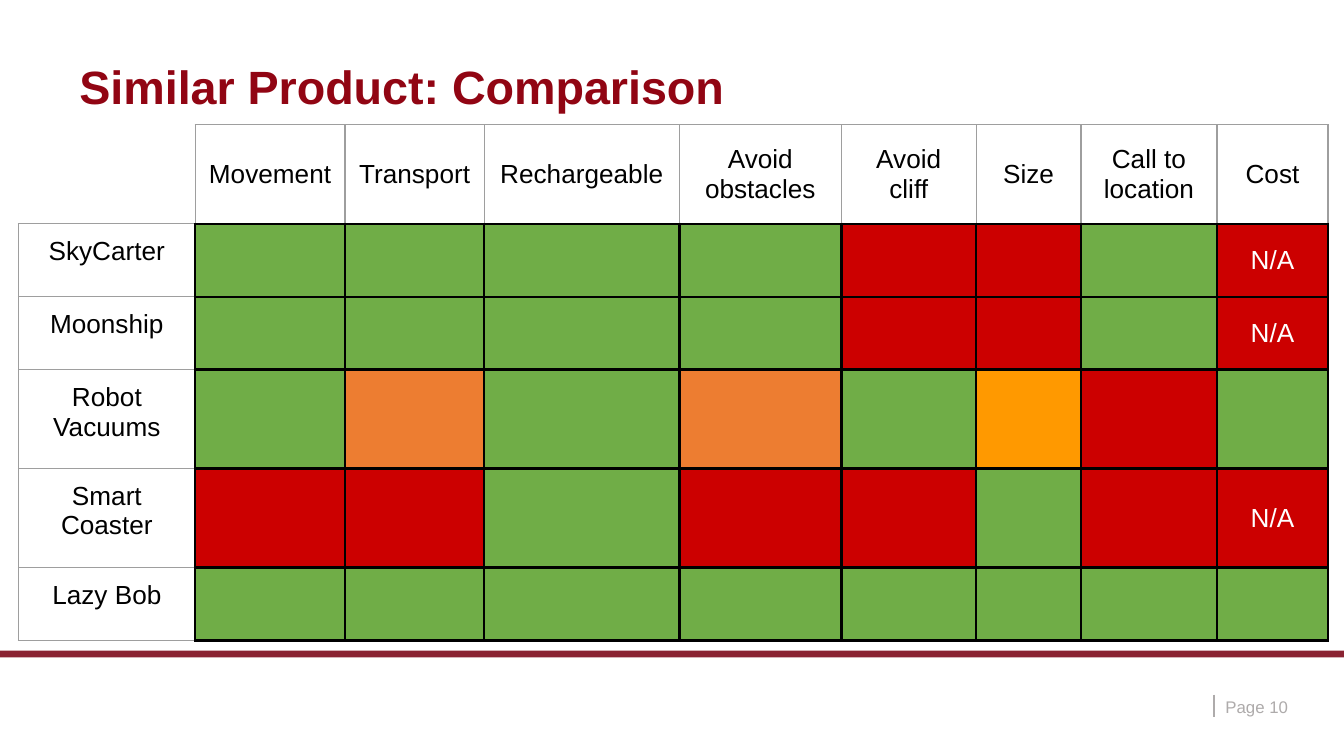
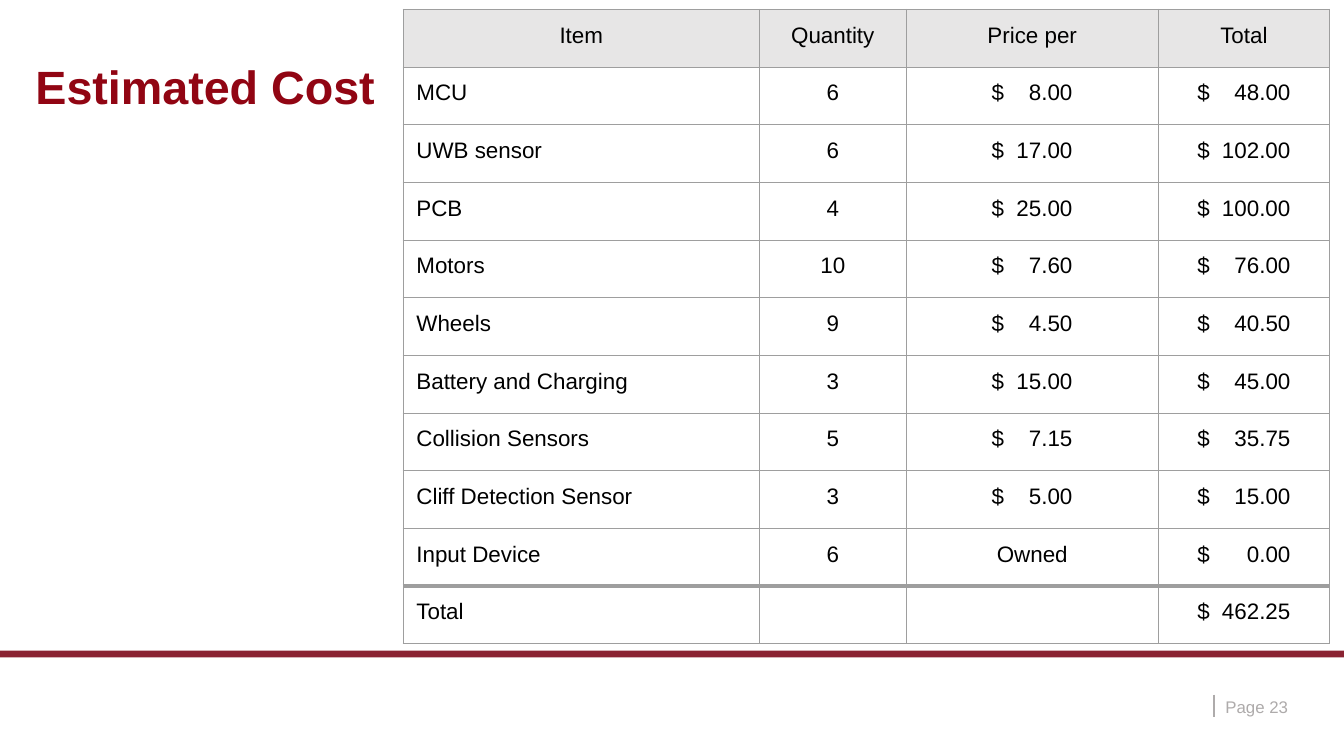
from lxml.etree import SubElement
from pptx import Presentation
from pptx.dml.color import RGBColor
from pptx.enum.shapes import MSO_CONNECTOR, MSO_SHAPE
from pptx.enum.text import MSO_ANCHOR, MSO_AUTO_SIZE, PP_ALIGN
from pptx.oxml.ns import qn
from pptx.util import Cm, Pt

FONT = "Arial"
MAROON, BAND = "910513", "8A2332"
BLACK, WHITE = "000000", "FFFFFF"
GREY, BORDER, HEADER = "AEABAB", "9E9E9E", "E7E6E6"
RATINGS = {"g": "70AD47", "r": "CC0000", "o": "ED7D31", "y": "FF9900"}
THIN, MEDIUM, THICK = (BORDER, 0.75), (BLACK, 1.5), (BORDER, 2.25)
PAD = 0.25

FEATURES = ["Movement", "Transport", "Rechargeable", "Avoid obstacles",
            "Avoid cliff", "Size", "Call to location", "Cost"]
PRODUCTS = [
    ("SkyCarter", "ggggrrgr", "N/A"),
    ("Moonship", "ggggrrgr", "N/A"),
    ("Robot Vacuums", "gogogyrg", ""),
    ("Smart Coaster", "rrgrrgrr", "N/A"),
    ("Lazy Bob", "gggggggg", ""),
]
COST_HEADS = ["Item", "Quantity", "Price per", "Total"]
PARTS = [
    ("MCU", 6, 8), ("UWB sensor", 6, 17), ("PCB", 4, 25),
    ("Motors", 10, 7.6), ("Wheels", 9, 4.5),
    ("Battery and Charging", 3, 15), ("Collision Sensors", 5, 7.15),
    ("Cliff Detection Sensor", 3, 5), ("Input Device", 6, None),
]
PRICE_STOPS, TOTAL_STOPS = (1.61, 1.53), (0.74, 1.76)


def rgb(value):
    return RGBColor.from_string(value)


def style(p, size, color, bold=False, align=PP_ALIGN.LEFT):
    p.alignment = align
    p.font.name = FONT
    p.font.size = Pt(size)
    p.font.bold = bold
    p.font.color.rgb = rgb(color)


def set_insets(box, x, y):
    box.margin_left = box.margin_right = Cm(x)
    box.margin_top = box.margin_bottom = Cm(y)


def set_borders(cell, left, right, top, bottom):
    tc_pr = cell._tc.get_or_add_tcPr()
    for side, (color, width) in zip("LRTB", (left, right, top, bottom)):
        ln = SubElement(tc_pr, qn(f"a:ln{side}"), w=str(Pt(width)))
        SubElement(SubElement(ln, qn("a:solidFill")), qn("a:srgbClr"), val=color)


def set_fill(cell, color=None):
    if color:
        cell.fill.solid()
        cell.fill.fore_color.rgb = rgb(color)
    else:
        cell.fill.background()


def write(cell, text, size, color=BLACK, align=PP_ALIGN.CENTER, anchor=MSO_ANCHOR.TOP):
    if not text:
        return
    cell.text = text
    set_insets(cell, PAD, PAD)
    cell.vertical_anchor = anchor
    style(cell.text_frame.paragraphs[0], size, color, align=align)


def write_money(cell, amount, size, stops):
    indent, tab = stops
    cell.text = f"$\t{amount:.2f}"
    set_insets(cell, PAD, PAD)
    cell.margin_left = Cm(indent)
    p = cell.text_frame.paragraphs[0]
    tabs = SubElement(p._p.get_or_add_pPr(), qn("a:tabLst"))
    SubElement(tabs, qn("a:tab"), pos=str(Cm(tab)), algn="r")
    style(p, size, BLACK)


def add_grid(slide, left, top, widths, heights):
    frame = slide.shapes.add_table(
        len(heights), len(widths), Cm(left), Cm(top), Cm(sum(widths)), Cm(sum(heights)))
    table = frame.table
    table.first_row = table.horz_banding = False
    for column, width in zip(table.columns, widths):
        column.width = Cm(width)
    for row, height in zip(table.rows, heights):
        row.height = Cm(height)
    return table


def add_layout_art(slide, layout):
    band = slide.shapes.add_shape(MSO_SHAPE.RECTANGLE, 0, Cm(12.3), Cm(25.4), Cm(0.13))
    band.shadow.inherit = False
    band.fill.solid()
    band.fill.fore_color.rgb = rgb(BAND)
    band.line.fill.background()
    rule = slide.shapes.add_connector(
        MSO_CONNECTOR.STRAIGHT, Cm(22.94), Cm(13.13), Cm(22.94), Cm(13.56))
    rule.line.color.rgb = rgb(GREY)
    rule.line.width = Pt(1.25)
    SubElement(rule._element.spPr, qn("a:effectLst"))
    for sp in (band, rule):
        layout.shapes.element.append(sp._element)


def add_title(slide, text, left):
    title = slide.shapes.title
    title.left, title.top, title.width, title.height = Cm(left), Cm(1.12), Cm(22.81), Cm(1.42)
    title.text = text
    tf = title.text_frame
    tf.auto_size = MSO_AUTO_SIZE.NONE
    tf.vertical_anchor = MSO_ANCHOR.TOP
    set_insets(tf, 0.18, 0.1)
    p = tf.paragraphs[0]
    p.line_spacing = 0.9
    style(p, 25, MAROON, bold=True)


def add_page_number(slide, number):
    box = slide.shapes.add_textbox(Cm(23.01), Cm(13.06), Cm(1.83), Cm(0.58))
    tf = box.text_frame
    tf.word_wrap = True
    tf.vertical_anchor = MSO_ANCHOR.MIDDLE
    set_insets(tf, 0.15, 0.1)
    tf.text = f"Page {number}"
    style(tf.paragraphs[0], 9, GREY)


def add_comparison(slide, left, top):
    widths = [3.34, 2.83, 2.63, 3.69, 3.06, 2.55, 1.98, 2.57, 2.1]
    short, tall = 1.38, 1.87
    table = add_grid(slide, left, top, widths, [tall, short, short, tall, tall, short])
    corner = table.cell(0, 0)
    set_borders(corner, (WHITE, 0.75), THIN, (WHITE, 0.75), THIN)
    set_fill(corner)
    for c, feature in enumerate(FEATURES, 1):
        cell = table.cell(0, c)
        set_borders(cell, THIN, THIN, THIN, MEDIUM)
        set_fill(cell)
        write(cell, feature, 14, anchor=MSO_ANCHOR.MIDDLE)
    for r, (name, ratings, cost) in enumerate(PRODUCTS, 1):
        head = table.cell(r, 0)
        set_borders(head, THIN, MEDIUM, THIN, THIN)
        set_fill(head)
        write(head, name, 14)
        for c, rating in enumerate(ratings, 1):
            cell = table.cell(r, c)
            set_borders(cell, *[MEDIUM] * 4)
            set_fill(cell, RATINGS[rating])
        write(table.cell(r, len(ratings)), cost, 14, WHITE, anchor=MSO_ANCHOR.MIDDLE)


def add_costs(slide, left, top):
    last = len(PARTS) + 1
    table = add_grid(slide, left, top, [6.73, 2.78, 4.76, 3.24], [1.09] * (last + 1))
    for r in range(last + 1):
        for c in range(len(COST_HEADS)):
            cell = table.cell(r, c)
            set_borders(cell, THIN, THIN, THICK if r == last else THIN,
                        THICK if r == last - 1 else THIN)
            set_fill(cell, None if r else HEADER)
    for c, head in enumerate(COST_HEADS):
        write(table.cell(0, c), head, 12)
    for r, (item, quantity, price) in enumerate(PARTS, 1):
        write(table.cell(r, 0), item, 12, align=PP_ALIGN.LEFT)
        write(table.cell(r, 1), str(quantity), 12)
        if price is None:
            write(table.cell(r, 2), "Owned", 12)
        else:
            write_money(table.cell(r, 2), price, 12, PRICE_STOPS)
        write_money(table.cell(r, 3), quantity * (price or 0), 12, TOTAL_STOPS)
    write(table.cell(last, 0), "Total", 12, align=PP_ALIGN.LEFT)
    total = sum(quantity * (price or 0) for _, quantity, price in PARTS)
    write_money(table.cell(last, 3), total, 12, TOTAL_STOPS)


def add_slide(prs, layout, title, title_left, page):
    slide = prs.slides.add_slide(layout)
    add_title(slide, title, title_left)
    add_page_number(slide, page)
    return slide


def main():
    prs = Presentation()
    prs.slide_width, prs.slide_height = Cm(25.4), Cm(14.29)
    layout = prs.slide_layouts[5]
    comparison = add_slide(prs, layout, "Similar Product: Comparison", 1.32, 10)
    add_layout_art(comparison, layout)
    add_comparison(comparison, 0.35, 2.36)
    costs = add_slide(prs, layout, "Estimated Cost", 0.49, 23)
    add_costs(costs, 7.62, 0.18)
    prs.save("out.pptx")


if __name__ == "__main__":
    main()
